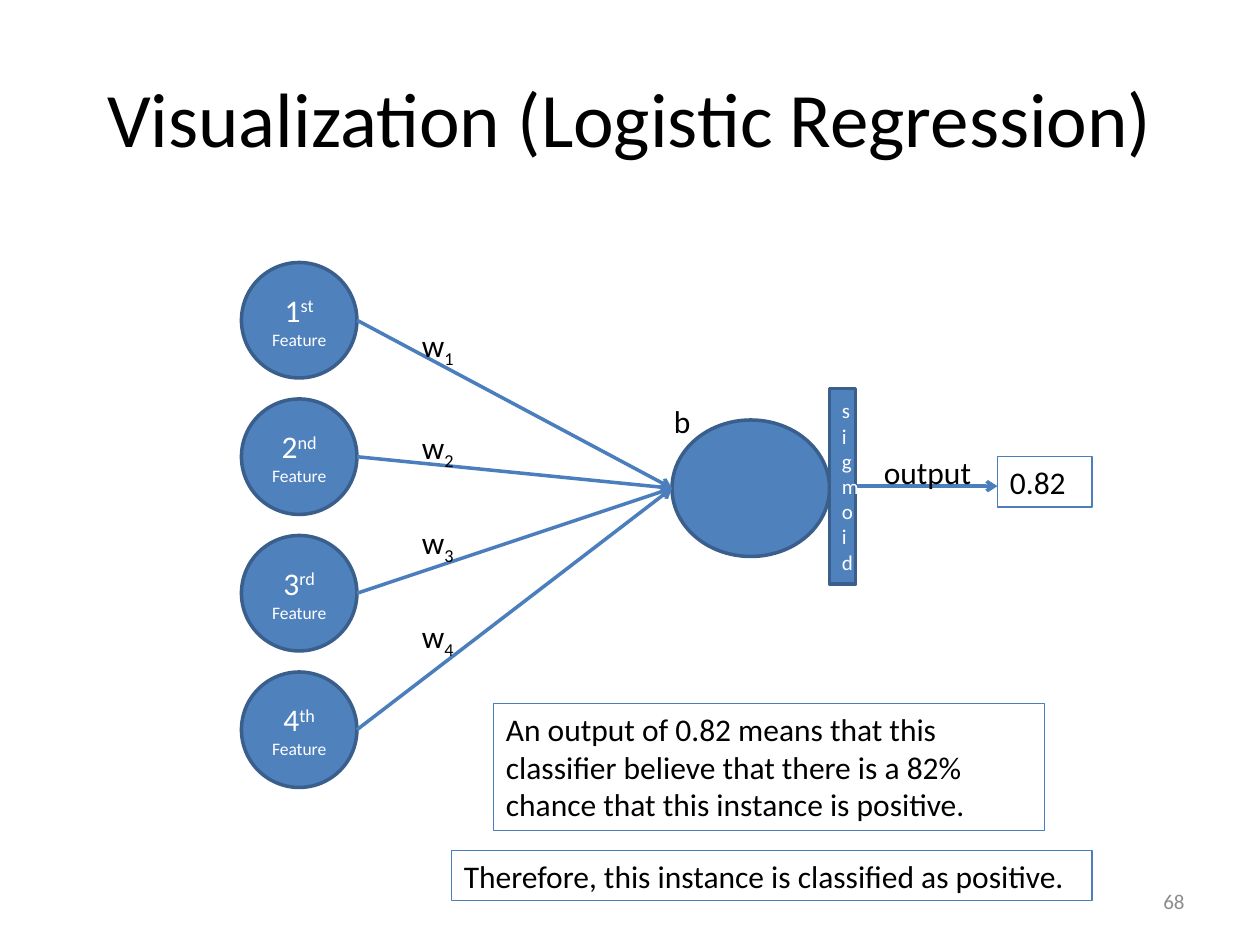
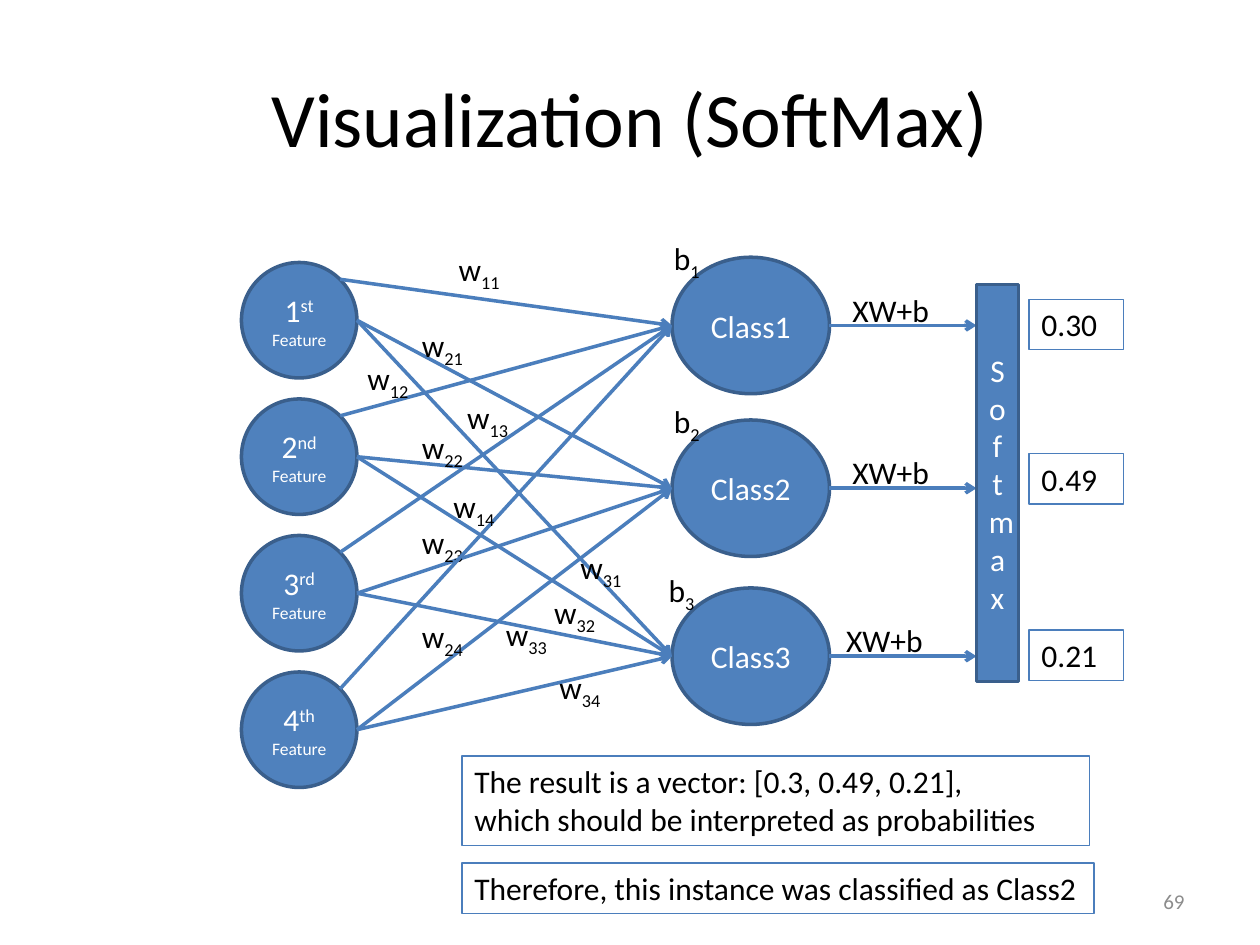
from dataclasses import dataclass
from lxml.etree import SubElement
from pptx import Presentation
from pptx.dml.color import RGBColor
from pptx.enum.shapes import MSO_CONNECTOR, MSO_SHAPE
from pptx.enum.text import MSO_ANCHOR, PP_ALIGN
from pptx.oxml.ns import qn
from pptx.util import Pt

EMU_PER_PX = 7620
SUPERSCRIPT, SUBSCRIPT = 30, -25


def px(length):
    return length * EMU_PER_PX


@dataclass(frozen=True)
class Theme:
    font: str = "Calibri"
    text: str = "000000"
    on_fill: str = "FFFFFF"
    muted: str = "8C8C8C"
    node: str = "4F81BD"
    node_edge: str = "3A5F8C"
    stroke: str = "4B7EBC"
    title_size: int = 44
    body_size: int = 18
    small_size: int = 12
    caption_size: int = 10
    thick: float = 2
    thin: float = 0.75


@dataclass(frozen=True)
class Neuron:
    index: str
    top: int
    weights: tuple
    bias: tuple
    score: tuple
    corner_start: bool = False


NEURON_LEFT, NEURON_WIDTH, NEURON_HEIGHT = 640, 150, 130
NEURON_RIGHT = NEURON_LEFT + NEURON_WIDTH
SOFTMAX_LEFT = 930
FEATURE_LEFT, FEATURE_TOP, FEATURE_STEP, FEATURE_SIZE = 230, 250, 130, 110
ORDINALS = (("1", "st "), ("2", "nd "), ("3", "rd "), ("4", "th "))
MIDDLE_WEIGHTS = ((390, 305), (390, 402), (390, 492), (390, 582))

SINGLE = Neuron("", 400, MIDDLE_WEIGHTS, (630, 377), (830, 426))
CLASSES = (
    Neuron("2", 400, MIDDLE_WEIGHTS, (630, 377), (800, 426)),
    Neuron("3", 560, ((541, 516), (516, 559), (470, 580), (521, 630)),
           (625, 538), (794, 586)),
    Neuron("1", 245, ((425, 232), (338, 336), (433, 373), (420, 458)),
           (630, 222), (800, 271), True),
)


class Deck:
    def __init__(self, theme):
        self.theme = theme
        self.presentation = Presentation()
        self.presentation.slide_width = px(1200)
        self.presentation.slide_height = px(900)
        self.slide = None

    def start(self, title, number):
        theme = self.theme
        self.slide = self.presentation.slides.add_slide(
            self.presentation.slide_layouts[6])
        self.label((60, 36, 1080, 150), [(title,)], size=theme.title_size,
                   align=PP_ALIGN.CENTER, anchor=MSO_ANCHOR.MIDDLE)
        self.label((860, 834, 280, 48), [(number,)], size=theme.small_size,
                   color=theme.muted, align=PP_ALIGN.RIGHT,
                   anchor=MSO_ANCHOR.MIDDLE)

    def set_text(self, shape, paragraphs, size, color, align, anchor):
        frame = shape.text_frame
        frame.word_wrap = True
        frame.vertical_anchor = anchor
        for position, runs in enumerate(paragraphs):
            paragraph = frame.add_paragraph() if position else frame.paragraphs[0]
            paragraph.alignment = align
            for text, *style in runs:
                run_size, baseline = style or (size, 0)
                run = paragraph.add_run()
                run.text = text
                run.font.name = self.theme.font
                run.font.size = Pt(run_size)
                run.font.color.rgb = RGBColor.from_string(color)
                if baseline:
                    run._r.get_or_add_rPr().set("baseline", str(baseline * 1000))

    def label(self, box, runs, size=None, color=None, align=PP_ALIGN.LEFT,
              anchor=MSO_ANCHOR.TOP):
        shape = self.slide.shapes.add_textbox(*map(px, box))
        self.set_text(shape, [runs], size or self.theme.body_size,
                      color or self.theme.text, align, anchor)

    def symbol(self, place, letter, index="", width=80):
        runs = [(letter,)]
        if index:
            runs.append((index, self.theme.body_size, SUBSCRIPT))
        self.label((*place, width, 48), runs)

    def outline(self, shape, color, width):
        shape.shadow.inherit = False
        shape.line.color.rgb = RGBColor.from_string(color)
        shape.line.width = Pt(width)

    def node(self, kind, box, runs=(), size=None):
        theme = self.theme
        shape = self.slide.shapes.add_shape(kind, *map(px, box))
        shape.fill.solid()
        shape.fill.fore_color.rgb = RGBColor.from_string(theme.node)
        self.outline(shape, theme.node_edge, theme.thick)
        self.set_text(shape, [runs], size or theme.body_size, theme.on_fill,
                      PP_ALIGN.CENTER, MSO_ANCHOR.MIDDLE)
        return shape

    def note(self, box, *lines):
        theme = self.theme
        shape = self.slide.shapes.add_shape(MSO_SHAPE.RECTANGLE, *map(px, box))
        shape.fill.background()
        self.outline(shape, theme.stroke, theme.thin)
        self.set_text(shape, [[(line,)] for line in lines], theme.body_size,
                      theme.text, PP_ALIGN.LEFT, MSO_ANCHOR.TOP)

    def arrow(self, start, end):
        connector = self.slide.shapes.add_connector(
            MSO_CONNECTOR.STRAIGHT, *map(px, (*start, *end)))
        connector.line.color.rgb = RGBColor.from_string(self.theme.stroke)
        connector.line.width = Pt(self.theme.thick)
        properties = connector._element.spPr
        SubElement(properties.find(qn("a:ln")), qn("a:tailEnd"), type="arrow")
        SubElement(properties, qn("a:effectLst"))
        return connector

    def features(self):
        theme = self.theme
        for row, (digit, suffix) in enumerate(ORDINALS):
            top = FEATURE_TOP + row * FEATURE_STEP
            self.node(MSO_SHAPE.OVAL,
                      (FEATURE_LEFT, top, FEATURE_SIZE, FEATURE_SIZE),
                      [(digit,), (suffix, theme.body_size, SUPERSCRIPT),
                       ("Feature", theme.caption_size, 0)])

    def neuron(self, neuron, name=""):
        self.node(MSO_SHAPE.OVAL,
                  (NEURON_LEFT, neuron.top, NEURON_WIDTH, NEURON_HEIGHT),
                  [(name,)] if name else [])
        middle = neuron.top + NEURON_HEIGHT // 2
        radius = FEATURE_SIZE // 2
        diagonal = round(radius * 0.5 ** 0.5)
        dx, dy = (diagonal, -diagonal) if neuron.corner_start else (radius, 0)
        for row in range(len(ORDINALS)):
            center = FEATURE_TOP + row * FEATURE_STEP + radius
            self.arrow((FEATURE_LEFT + radius + dx, center + dy),
                       (NEURON_LEFT, middle))
        for row, place in enumerate(neuron.weights, 1):
            self.symbol(place, "w", f"{neuron.index}{row}")
        self.symbol(neuron.bias, "b", neuron.index, 70 if neuron.index else 40)
        return middle


def logistic_regression(deck):
    deck.start("Visualization (Logistic Regression)", "68")
    deck.features()
    deck.neuron(SINGLE)
    output = deck.arrow((815, 463), (950, 463))
    deck.symbol(SINGLE.score, "output", width=120)
    deck.note((950, 435, 90, 48), "0.82")
    deck.note((470, 670, 525, 121),
              "An output of 0.82 means that this classifier believe that there "
              "is a 82% chance that this instance is positive.")
    deck.note((430, 810, 610, 48),
              "Therefore, this instance is classified as positive.")
    sigmoid = deck.node(MSO_SHAPE.RECTANGLE, (NEURON_RIGHT, 370, 25, 186),
                        [("sigmoid",)], deck.theme.small_size)
    output.begin_connect(sigmoid, 3)


def softmax(deck):
    deck.start("Visualization (SoftMax)", "69")
    deck.features()
    for neuron in CLASSES:
        middle = deck.neuron(neuron, f"Class{neuron.index}")
        deck.arrow((NEURON_RIGHT, middle), (SOFTMAX_LEFT, middle))
        deck.symbol(neuron.score, "XW+b", width=120)
    for top, probability in ((285, "0.30"), (432, "0.49"), (600, "0.21")):
        deck.note((980, top, 90, 48), probability)
    deck.note((440, 720, 598, 85),
              "The result is a vector: [0.3, 0.49, 0.21],",
              "which should be interpreted as probabilities")
    deck.note((440, 822, 602, 48),
              "Therefore, this instance was classified as Class2")
    deck.node(MSO_SHAPE.RECTANGLE, (SOFTMAX_LEFT, 271, 40, 378), [("Softmax",)])


def main():
    deck = Deck(Theme())
    logistic_regression(deck)
    softmax(deck)
    deck.presentation.save("out.pptx")


if __name__ == "__main__":
    main()
